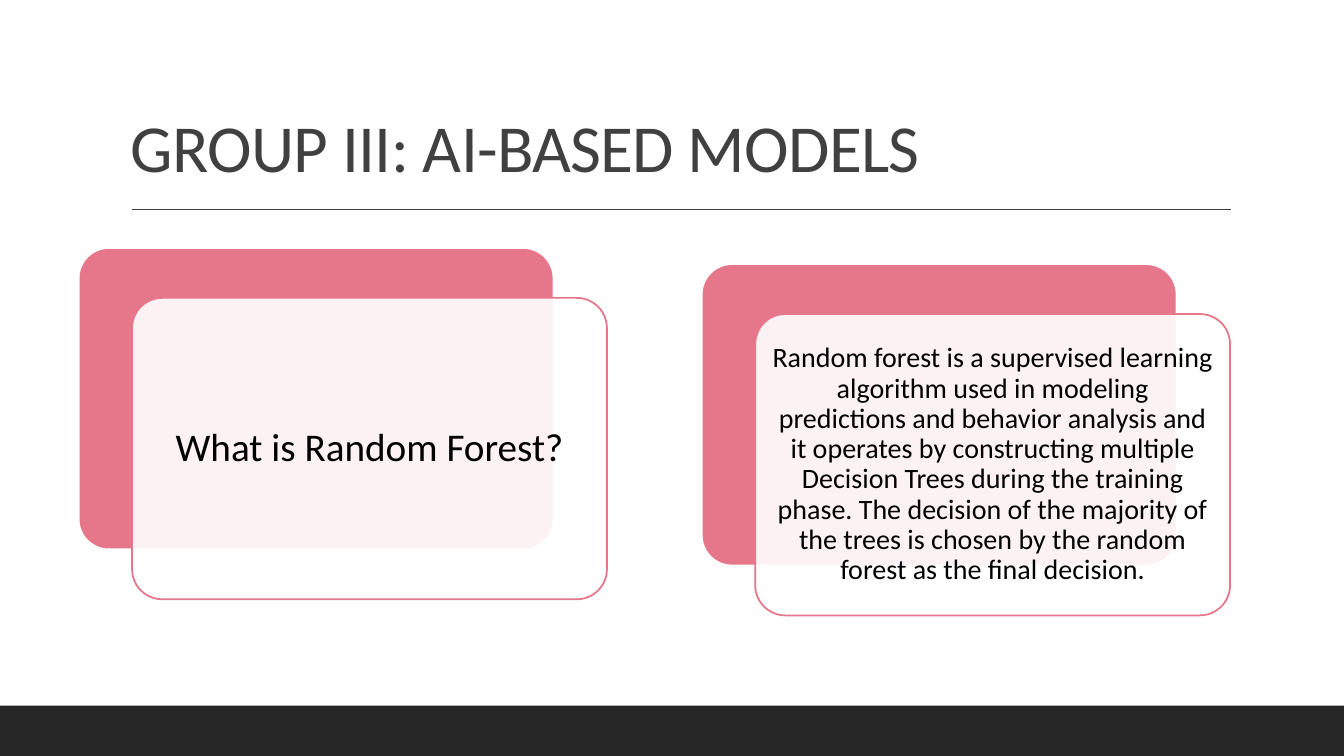
from lxml import etree
from pptx import Presentation
from pptx.dml.color import RGBColor
from pptx.enum.shapes import MSO_CONNECTOR as Conn, MSO_SHAPE as Shape
from pptx.enum.text import MSO_ANCHOR as Anchor, PP_ALIGN as Align
from pptx.oxml.ns import qn
from pptx.util import Inches, Pt

# Content
TITLE = "GROUP III: AI-BASED MODELS"
CARDS = [  # text, size, inset, top
    ("What is Random Forest?", 28, 0.12, 2.46),
    ("Random forest is a supervised learning algorithm used in modeling "
     "predictions and behavior analysis and it operates by constructing "
     "multiple Decision Trees during the training phase. The decision of the "
     "majority of the trees is chosen by the random forest as the final "
     "decision.", 20, 0.08, 2.62),
]
COLORS = {"white": "FFFFFF", "rose": "E6768A", "gray": "404040",
          "dark": "262626", "black": "000000"}
FONT = "Calibri"

# Layout in inches
WIDE, HIGH = 13.33, 7.5
FOOT = HIGH / 15
LEFT, PITCH = 0.78, 6.18
CARD_W, CARD_H = 4.71, 2.99
SHIFT_X, SHIFT_Y = 0.53, 0.495
RULE_X, RULE_Y, RULE_W = 1.31, 2.08, 10.9

deck = Presentation()
deck.slide_width, deck.slide_height = Inches(WIDE), Inches(HIGH)
slide = deck.slides.add_slide(deck.slide_layouts[6])


def color(name):
    return RGBColor.from_string(COLORS[name])


def block(kind, x, y, w, h, fill, line=None):
    shape = slide.shapes.add_shape(kind, *map(Inches, (x, y, w, h)))
    shape.shadow.inherit = False
    shape.fill.solid()
    shape.fill.fore_color.rgb = color(fill)
    if line:
        shape.line.color.rgb = color(line)
        shape.line.width = Pt(1.25)
    else:
        shape.line.fill.background()
    return shape


def card(x, y, fill, line):
    shape = block(Shape.ROUNDED_RECTANGLE, x, y, CARD_W, CARD_H, fill, line)
    shape.adjustments[0] = 0.1
    return shape


def write(shape, text, size, ink, anchor, align):
    frame = shape.text_frame
    frame.word_wrap = True
    frame.vertical_anchor = anchor
    para = frame.paragraphs[0]
    para.text = text
    para.alignment = align
    para.line_spacing = 0.9
    para.font.name, para.font.size = FONT, Pt(size)
    para.font.color.rgb = color(ink)
    return frame


# Title with slightly tight letters
box = slide.shapes.add_textbox(*map(Inches, (1.2, 0.31, 11, 1.59)))
frame = write(box, TITLE, 48, "gray", Anchor.BOTTOM, Align.LEFT)
frame.paragraphs[0].runs[0].font.size = Pt(48)
frame.paragraphs[0].runs[0].font._element.set("spc", "-50")

# Rule and footer band
rule = slide.shapes.add_connector(Conn.STRAIGHT, *map(
    Inches, (RULE_X, RULE_Y, RULE_X + RULE_W, RULE_Y)))
rule.line.color.rgb = color("gray")
rule.line.width = Pt(1)
etree.SubElement(rule._element.spPr, qn("a:effectLst"))
block(Shape.RECTANGLE, 0, HIGH - FOOT, WIDE, FOOT, "dark")

# Cards: a rose back and a translucent front holding the text
for col, (text, size, inset, top) in enumerate(CARDS):
    x = LEFT + col * PITCH
    card(x, top, "rose", "white")
    front = card(x + SHIFT_X, top + SHIFT_Y, "white", "rose")
    tint = front._element.spPr.find(qn("a:solidFill")).find(qn("a:srgbClr"))
    etree.SubElement(tint, qn("a:alpha"), val="90000")
    frame = write(front, text, size, "black", Anchor.MIDDLE, Align.CENTER)
    frame.margin_left = frame.margin_right = Inches(inset)
    frame.margin_top = frame.margin_bottom = Inches(inset)

deck.save("out.pptx")
